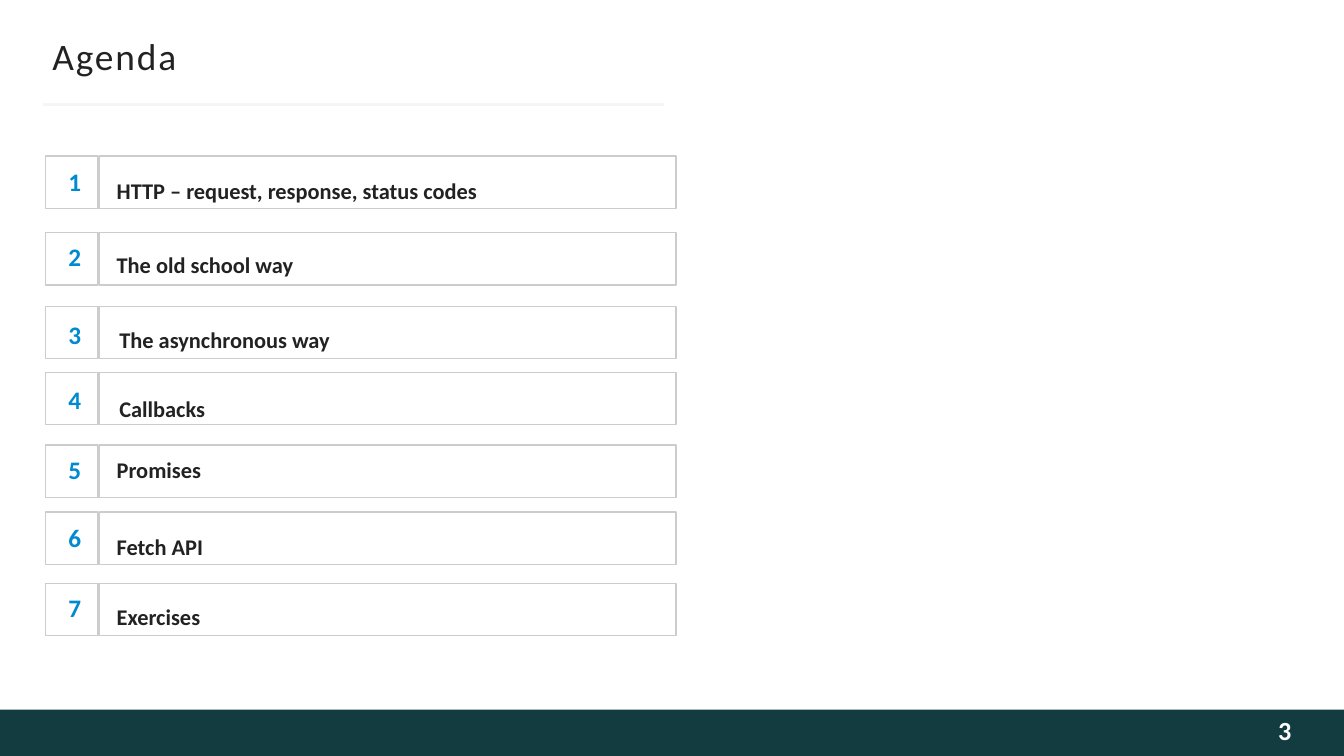
from pptx import Presentation
from pptx.dml.color import RGBColor
from pptx.enum.shapes import MSO_CONNECTOR as Link, MSO_SHAPE as Shape
from pptx.enum.text import MSO_ANCHOR as Anchor, MSO_AUTO_SIZE as Fit, PP_ALIGN as Align
from pptx.oxml.ns import qn
from pptx.util import Inches, Pt
from lxml import etree

TEAL = RGBColor(0x13, 0x3C, 0x41)
BLUE = RGBColor(0x00, 0x8A, 0xCF)
INK = RGBColor(0x22, 0x22, 0x22)
GREY = RGBColor(0xCC, 0xCC, 0xCC)
PALE = RGBColor(0xF5, 0xF5, 0xF5)
WHITE = RGBColor(0xFE, 0xFE, 0xFE)

# Label, row top, number offset, label left, label offset, line spacing
ROWS = [
    ("HTTP – request, response, status codes", 1.16, 0.03, 0.77, 0.08, 1.5),
    ("The old school way", 1.73, 0.02, 0.77, 0.06, 1.5),
    ("The asynchronous way", 2.28, 0.05, 0.79, 0.07, 1.5),
    ("Callbacks", 2.77, 0.04, 0.79, 0.09, 1.5),
    ("Promises", 3.31, 0.02, 0.77, 0.07, 0.8),
    ("Fetch API", 3.81, 0.03, 0.77, 0.08, 1.5),
    ("Exercises", 4.34, 0.02, 0.77, 0.07, 1.5),
]


class Deck:
    font = "Calibri"

    def __init__(self, wide):
        self.prs = Presentation()
        self.prs.slide_width = Inches(wide)
        self.prs.slide_height = Inches(wide * 9 / 16)
        self.slide = self.prs.slides.add_slide(self.prs.slide_layouts[6])

    def rect(self, x, y, w, h, fill=None, line=None, root=None):
        shapes = (root or self.slide).shapes
        box = shapes.add_shape(Shape.RECTANGLE, Inches(x), Inches(y), Inches(w), Inches(h))
        box.shadow.inherit = False
        if fill is None:
            box.fill.background()
        else:
            box.fill.solid()
            box.fill.fore_color.rgb = fill
        if line is None:
            box.line.fill.background()
        else:
            box.line.color.rgb = line
            box.line.width = Pt(0.75)

    def rule(self, x, y, end, color, width):
        line = self.slide.shapes.add_connector(
            Link.STRAIGHT, Inches(x), Inches(y), Inches(end), Inches(y))
        line.line.color.rgb = color
        line.line.width = Pt(width)
        etree.SubElement(line._element.spPr, qn("a:effectLst"))

    def text(self, words, x, y, w, h, size, color, bold=True, align=Align.LEFT,
             anchor=Anchor.MIDDLE, pad=(0.1, 0.05, 0.1, 0.05), wrap=True,
             space=None, track=None, grow=False):
        box = self.slide.shapes.add_textbox(Inches(x), Inches(y), Inches(w), Inches(h))
        frame = box.text_frame
        frame.word_wrap = wrap
        frame.vertical_anchor = anchor
        frame.auto_size = Fit.SHAPE_TO_FIT_TEXT if grow else Fit.NONE
        (frame.margin_left, frame.margin_top,
         frame.margin_right, frame.margin_bottom) = map(Inches, pad)
        para = frame.paragraphs[0]
        para.alignment = align
        if space:
            para.line_spacing = space
        run = para.add_run()
        run.text = words
        font = para.font
        font.name, font.size, font.bold = self.font, Pt(size), bold
        font.color.rgb = color
        if track:
            run._r.get_or_add_rPr().set("spc", str(track * 100))

    def row(self, num, label, top, drop, left, dip, space):
        self.text(label, left, top + dip, 3.46, 0.26, 12, INK, space=space)
        self.text(str(num), 0.36, top + drop, 0.39, 0.34, 13.5, BLUE,
                  align=Align.CENTER, anchor=Anchor.TOP, grow=True)
        frame = self.slide.shapes.add_group_shape()
        for x, w in ((0.34, 0.39), (0.74, 4.29)):
            self.rect(x, top, w, 0.39, line=GREY, root=frame)


def main():
    deck = Deck(10)

    # Footer band, title and page number
    deck.rect(0, 5.28, 10, 0.35, fill=TEAL)
    deck.rule(0.32, 0.78, 4.94, PALE, 1.5)
    deck.text("Agenda", 0.39, 0.25, 9.22, 0.33, 20, INK, bold=False,
              pad=(0, 0.05, 0, 0.05), track=1)
    deck.text("3", 8.11, 5.28, 1.5, 0.35, 14, WHITE, align=Align.RIGHT,
              pad=(0.1, 0.05, 0, 0.09))

    # Agenda rows
    for num, row in enumerate(ROWS, 1):
        deck.row(num, *row)

    deck.prs.save("out.pptx")


if __name__ == "__main__":
    main()
